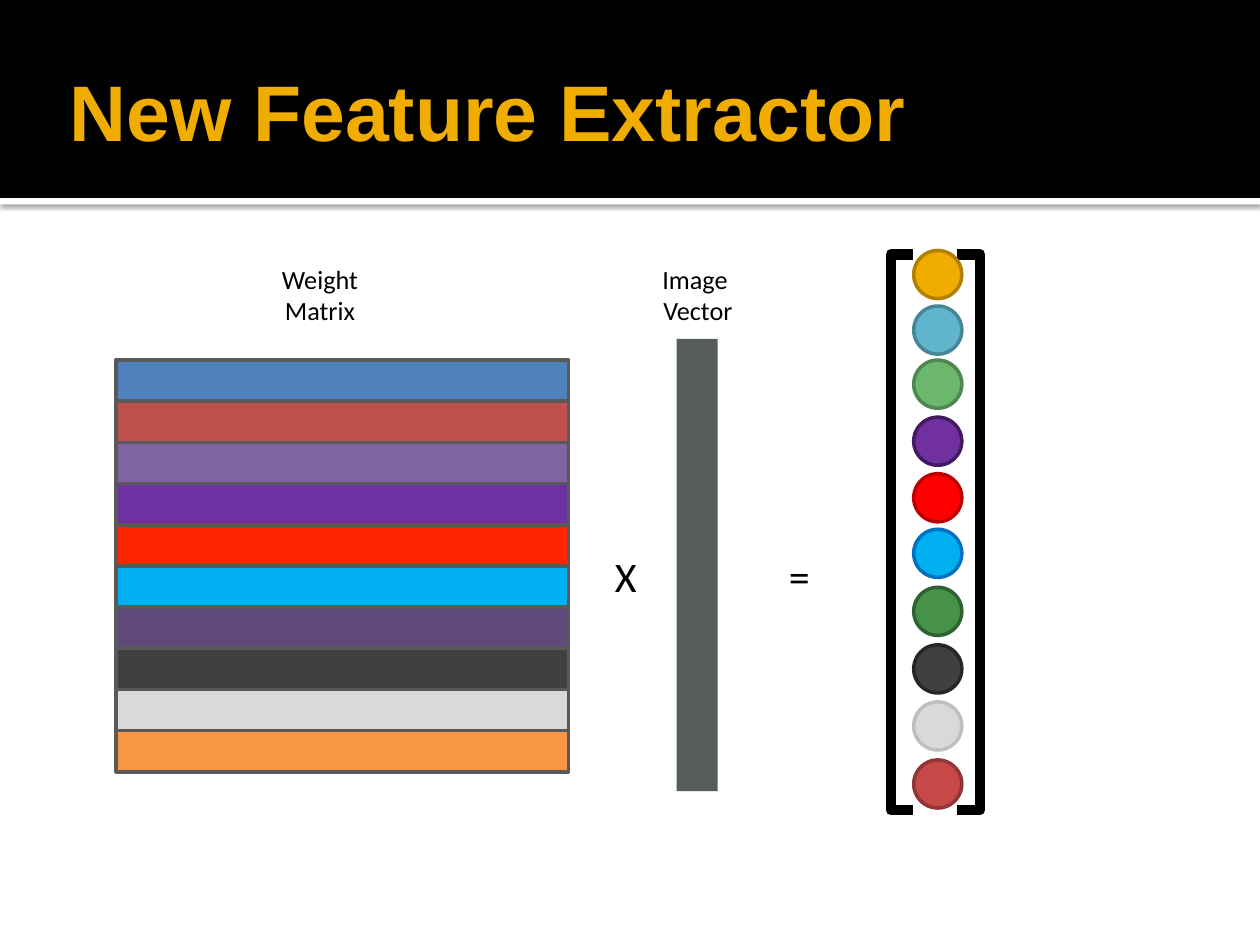
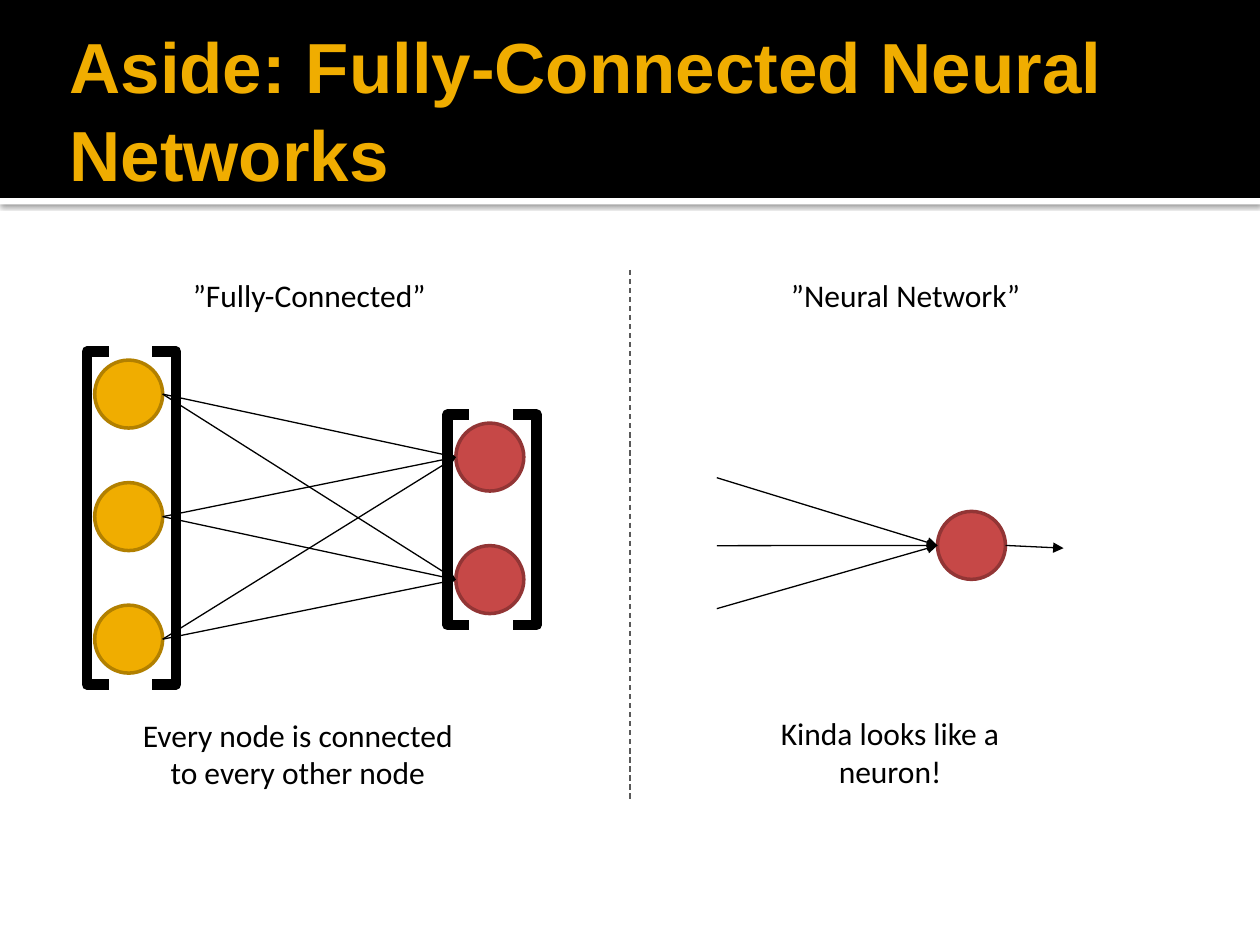
from dataclasses import dataclass
from itertools import product

from lxml.etree import SubElement
from pptx import Presentation
from pptx.dml.color import RGBColor
from pptx.enum.dml import MSO_LINE
from pptx.enum.shapes import MSO_CONNECTOR, MSO_SHAPE
from pptx.enum.text import MSO_ANCHOR, MSO_AUTO_SIZE, PP_ALIGN
from pptx.oxml.ns import qn
from pptx.shapes.autoshape import Shape
from pptx.slide import Slide
from pptx.util import Cm, Pt

# Shared colours and measures (lengths in centimetres)
BLACK, WHITE, GOLD, GREY = "000000", "FFFFFF", "F0AD00", "595959"
GOLD_EDGE, RED, RED_EDGE = "B28000", "C64847", "923535"
SLIDE_WIDTH, SLIDE_HEIGHT = 25.4, 19.05
BAND_HEIGHT = 3.99
FEATURE_SIZE, NODE_SIZE, NODE_PITCH = 0.97, 1.37, 2.47

WEIGHT_ROWS = ["4F81BD", "C0504D", "8064A1", "6F30A1", "FF2500",
               "00B0F0", "604A7B", "404040", "D9D9D9", "F89646"]
ROW_HEIGHT, ROW_LENGTH = 0.83, 9.12


@dataclass
class Node:
    left: float
    top: float
    fill: str
    edge: str
    size: float = NODE_SIZE

    @property
    def inlet(self) -> tuple[float, float]:
        return self.left, self.top + self.size / 2

    @property
    def outlet(self) -> tuple[float, float]:
        return self.left + self.size, self.top + self.size / 2


@dataclass
class Bracket:
    left: float
    top: float
    height: float
    gap_top: float
    gap_height: float


@dataclass
class Label:
    text: str
    left: float
    top: float
    width: float
    height: float
    size: float
    anchor: MSO_ANCHOR = MSO_ANCHOR.TOP


FEATURES = [
    Node(18.42, top, fill, edge, FEATURE_SIZE) for top, fill, edge in [
        (5.05, GOLD, GOLD_EDGE),
        (6.17, "60B5CC", "478697"),
        (7.26, "6BB76D", "4F8751"),
        (8.41, "7030A0", "421962"),
        (9.55, "FF0000", "C00000"),
        (10.67, "00B0F0", "0070C0"),
        (11.84, "479249", "2F6231"),
        (13.0, "404040", "262626"),
        (14.15, "D9D9D9", "BFBFBF"),
        (15.32, RED, RED_EDGE),
    ]
]


def rgb(color: str) -> RGBColor:
    return RGBColor.from_string(color)


# Drawing functions
def draw_shape(slide: Slide, kind: MSO_SHAPE, left: float, top: float,
               width: float, height: float, fill: str | None = None,
               edge: str | None = None, edge_width: float = 2) -> Shape:
    shape = slide.shapes.add_shape(kind, Cm(left), Cm(top), Cm(width), Cm(height))
    shape.shadow.inherit = False
    if fill:
        shape.fill.solid()
        shape.fill.fore_color.rgb = rgb(fill)
    else:
        shape.fill.background()
    if edge:
        shape.line.color.rgb = rgb(edge)
        shape.line.width = Pt(edge_width)
    else:
        shape.line.fill.background()
    return shape


def draw_node(slide: Slide, node: Node) -> None:
    draw_shape(slide, MSO_SHAPE.OVAL, node.left, node.top,
               node.size, node.size, node.fill, node.edge)


def draw_bracket(slide: Slide, bracket: Bracket) -> None:
    draw_shape(slide, MSO_SHAPE.RECTANGLE, bracket.left, bracket.top,
               1.8, bracket.height, edge=BLACK, edge_width=6)
    # A white strip opens the frame at its top and bottom
    draw_shape(slide, MSO_SHAPE.RECTANGLE, bracket.left + 0.48, bracket.gap_top,
               0.81, bracket.gap_height, WHITE, WHITE)


def draw_label(slide: Slide, label: Label) -> None:
    box = slide.shapes.add_textbox(Cm(label.left), Cm(label.top),
                                   Cm(label.width), Cm(label.height))
    frame = box.text_frame
    frame.word_wrap = True
    frame.auto_size = MSO_AUTO_SIZE.SHAPE_TO_FIT_TEXT
    frame.vertical_anchor = label.anchor
    frame.text = label.text
    for paragraph in frame.paragraphs:
        paragraph.alignment = PP_ALIGN.CENTER
        for run in paragraph.runs:
            run.font.name = "Calibri"
            run.font.size = Pt(label.size)
            run.font.color.rgb = rgb(BLACK)


def draw_line(slide: Slide, start: tuple[float, float], end: tuple[float, float],
              color: str = BLACK, arrow: bool = True) -> None:
    line = slide.shapes.add_connector(MSO_CONNECTOR.STRAIGHT,
                                      *map(Cm, start), *map(Cm, end))
    line.line.color.rgb = rgb(color)
    line.line.width = Pt(0.75)
    properties = line.element.spPr
    if arrow:
        SubElement(properties.find(qn("a:ln")), qn("a:tailEnd"), type="triangle")
    else:
        line.line.dash_style = MSO_LINE.DASH
    SubElement(properties, qn("a:effectLst"))


def set_title(slide: Slide, text: str, size: float) -> None:
    title = slide.shapes.title
    title.left, title.top = Cm(1.27), Cm(0.43)
    title.width, title.height = Cm(22.86), Cm(3.48)
    frame = title.text_frame
    frame.text = text
    frame.word_wrap = True
    frame.auto_size = MSO_AUTO_SIZE.NONE
    frame.vertical_anchor = MSO_ANCHOR.MIDDLE
    frame.margin_left = frame.margin_right = Cm(0.13)
    frame.margin_top = frame.margin_bottom = Cm(0.13)
    paragraph = frame.paragraphs[0]
    paragraph.alignment = PP_ALIGN.LEFT
    paragraph.line_spacing = 1.04
    font = paragraph.runs[0].font
    font.name, font.size, font.bold = "Arial", Pt(size), True
    font.color.rgb = rgb(GOLD)


def move_band_to_layout(slide: Slide) -> None:
    """Draw the title band and its shaded rule, then hand them to the layout."""
    rule = draw_shape(slide, MSO_SHAPE.RECTANGLE, 0, BAND_HEIGHT,
                      SLIDE_WIDTH, 0.13, WHITE)
    effects = rule.element.spPr.find(qn("a:effectLst"))
    shadow = SubElement(effects, qn("a:outerShdw"), blurRad=str(Pt(3)),
                        dist=str(Pt(0.8)), dir="5400000", rotWithShape="0")
    shade = SubElement(shadow, qn("a:srgbClr"), val=BLACK)
    SubElement(shade, qn("a:alpha"), val="60000")
    band = draw_shape(slide, MSO_SHAPE.RECTANGLE, 0, 0,
                      SLIDE_WIDTH, BAND_HEIGHT, BLACK)
    layout_tree = slide.slide_layout.element.cSld.spTree
    for position, part in enumerate((rule, band), start=2):
        layout_tree.insert(position, part.element)


# Slides
def build_feature_extractor(slide: Slide) -> None:
    set_title(slide, "New Feature Extractor", 45)

    # Weight matrix, bottom row first so that upper edges lie on top
    for row, color in reversed(list(enumerate(WEIGHT_ROWS))):
        draw_shape(slide, MSO_SHAPE.RECTANGLE, 2.34, 7.26 + row * ROW_HEIGHT,
                   ROW_LENGTH, ROW_HEIGHT, color, GREY)

    # Image vector
    draw_shape(slide, MSO_SHAPE.RECTANGLE, 13.64, 6.83,
               ROW_HEIGHT, ROW_LENGTH, "575D59")

    # Resulting feature vector
    draw_bracket(slide, Bracket(17.96, 5.13, 11.2, 4.6, 11.99))
    for feature in FEATURES:
        draw_node(slide, feature)

    for label in (
        Label("X", 12.07, 10.97, 1.09, 1.27, 24, MSO_ANCHOR.MIDDLE),
        Label("=", 15.57, 10.97, 1.09, 1.27, 24, MSO_ANCHOR.MIDDLE),
        Label("Weight Matrix", 4.95, 5.18, 3, 1.55, 15),
        Label("Image \nVector", 12.57, 5.18, 3, 1.55, 15),
    ):
        draw_label(slide, label)


def build_neural_networks(slide: Slide) -> None:
    set_title(slide, "Aside: Fully-Connected Neural Networks", 40.5)

    # Fully connected layers
    inputs = [Node(1.91, 7.26 + i * NODE_PITCH, GOLD, GOLD_EDGE) for i in range(3)]
    outputs = [Node(9.19, 8.53 + i * NODE_PITCH, RED, RED_EDGE) for i in range(2)]
    draw_bracket(slide, Bracket(1.75, 7.09, 6.71, 6.65, 8.59))
    draw_bracket(slide, Bracket(9.02, 8.36, 4.24, 7.82, 5.44))
    for node in inputs + outputs:
        draw_node(slide, node)
    for source, target in product(inputs, outputs):
        draw_line(slide, source.outlet, target.inlet)

    # Single neuron
    neuron = Node(18.9, 10.31, RED, RED_EDGE)
    draw_node(slide, neuron)
    for signal_y in (9.63, 11, 12.27):
        draw_line(slide, (14.45, signal_y), neuron.inlet)
    draw_line(slide, neuron.outlet, (21.44, 11.05))

    # Captions and divider
    for label in (
        Label("”Fully-Connected”", 2.74, 5.44, 6.99, 1.02, 18),
        Label("”Neural Network”", 14.76, 5.44, 6.99, 1.02, 18),
        Label("Every node is connected to every other node",
              2.51, 14.3, 6.99, 1.8, 18),
        Label("Kinda looks like a neuron!", 14.45, 14.27, 6.99, 1.8, 18),
    ):
        draw_label(slide, label)
    draw_line(slide, (12.7, 5.44), (12.7, 16.1), GREY, arrow=False)


def main() -> None:
    deck = Presentation()
    deck.slide_width, deck.slide_height = Cm(SLIDE_WIDTH), Cm(SLIDE_HEIGHT)
    title_only = deck.slide_layouts[5]
    extractor_slide = deck.slides.add_slide(title_only)
    move_band_to_layout(extractor_slide)
    build_feature_extractor(extractor_slide)
    build_neural_networks(deck.slides.add_slide(title_only))
    deck.save("out.pptx")


if __name__ == "__main__":
    main()
